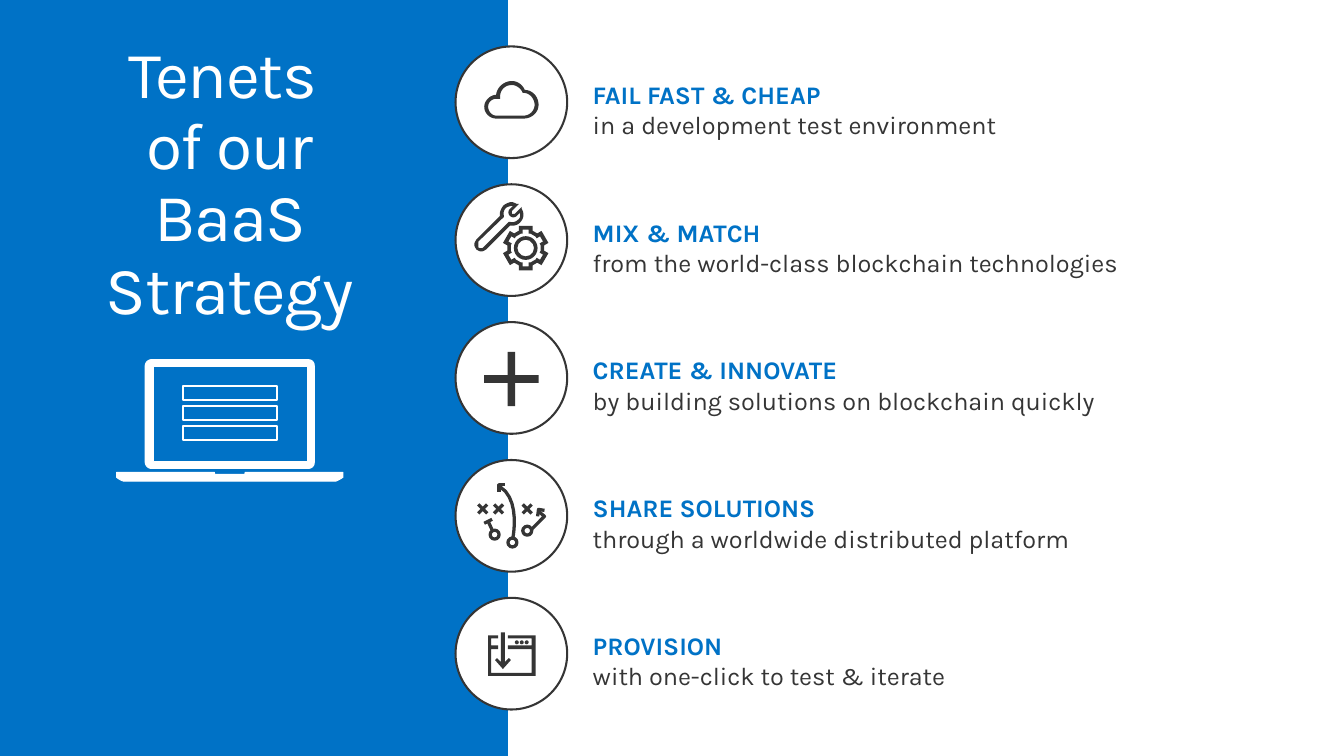
from math import cos, pi, sin

from lxml.etree import SubElement
from pptx import Presentation
from pptx.dml.color import RGBColor
from pptx.enum.shapes import MSO_CONNECTOR, MSO_SHAPE
from pptx.enum.text import MSO_ANCHOR, MSO_AUTO_SIZE, PP_ALIGN
from pptx.oxml.ns import qn
from pptx.util import Pt

FONT = "Karla"
BLUE, DARK, WHITE = "0072C6", "353535", "FFFFFF"
TITLE_LINES = [("Tenets ", 48), ("of our", 48), ("BaaS Strategy", 49)]
TENETS = [
    ("FAIL FAST & CHEAP", "in a development test environment"),
    ("MIX & MATCH", "from the world-class blockchain technologies"),
    ("CREATE & INNOVATE", "by building solutions on blockchain quickly"),
    ("SHARE SOLUTIONS", "through a worldwide distributed platform"),
    ("PROVISION", "with one-click to test & iterate"),
]

# Drawing coordinates are in units of 0.72 pt. In a contour, a pair is a
# corner and six numbers are a Bezier curve: two controls and the end.
UNIT = 0.72
BADGE_LEFT, BADGE_TOP, BADGE_SIZE, ROW_PITCH = 461, 47, 113, 139.5
STROKE = 2.38

CLOUD = [
    [(41, 73), (69, 73), (77, 73, 84, 67, 84, 59), (84, 51, 78, 44, 70, 44), (68, 39, 63, 35, 57, 35),
     (49, 35, 42, 41, 41, 49), (35, 49, 29, 55, 29, 61), (29, 68, 35, 73, 41, 73)],
    [(41, 53), (45, 53), (45, 51), (45, 44, 50, 39, 57, 39), (61, 39, 66, 42, 68, 47), (69, 47),
     (75, 47, 80, 53, 80, 59), (80, 65, 75, 70, 69, 70), (41, 70), (37, 70, 33, 66, 33, 61),
     (33, 56, 37, 53, 41, 53)],
]
WRENCH = [
    [(26, 68), (28, 68, 29, 67, 31, 66), (55, 42), (57, 42), (60, 42, 63, 41, 65, 39),
     (69, 35, 70, 30, 67, 25), (67, 23), (60, 30), (57, 30), (57, 27), (64, 20), (62, 20),
     (60, 19, 58, 18, 57, 18), (54, 18, 50, 20, 48, 22), (46, 25, 44, 29, 45, 32), (21, 56),
     (20, 58, 19, 59, 19, 61), (19, 63, 20, 64, 21, 66), (23, 67, 24, 68, 26, 68)],
    [(23, 58), (49, 33), (49, 32), (48, 29, 49, 26, 51, 24), (52, 23, 55, 22, 57, 22), (58, 22), (55, 25),
     (53, 27, 53, 30, 55, 32), (57, 34, 60, 34, 62, 32), (65, 29), (66, 32, 65, 35, 63, 36),
     (61, 38, 58, 39, 55, 38), (54, 38), (28, 64), (27, 65, 25, 65, 23, 64), (23, 61),
     (23, 60, 23, 59, 23, 58)],
]
GEAR_CENTER, GEAR_TEETH = (71, 64.5), 6
GEAR_EDGES = [[(-7, 17.5), (-7, 22.5), (7, 22.5), (7, 17.5)],
              [(-5, 14.5), (-3, 14.5), (-3, 18.5), (3, 18.5), (3, 14.5), (5, 14.5)]]
PLAY_CROSSES = [(23, 45), (39, 45), (68, 45)]
PLAY_RINGS = [(35, 71), (53, 79), (68, 67)]
PLAY_MARK = 9
PLAY_LINES = [((29, 64), (37, 60)), ((33, 62), (38, 73))]
PLAY_PATHS = [[(83, 57), (84, 50), (90, 51)], [(44, 32), (44, 25), (50, 25)],
              [(84, 52), (90, 57), (77, 70)], [(58, 79), (58, 79, 66, 40, 45, 27)]]
WINDOW = [[(81, 38), (53, 38), (53, 41), (77, 41), (77, 48), (53, 48), (53, 52), (77, 52), (77, 76), (36, 76),
           (36, 52), (43, 52), (43, 48), (36, 48), (36, 41), (43, 41), (43, 38), (33, 38), (33, 79), (81, 79)]]
WINDOW_DOTS = [60, 65, 70]
DOWN_ARROW = [[(46, 35), (46, 65), (42, 61), (40, 63), (48, 72), (56, 63), (54, 61), (50, 65), (50, 35)]]
LAPTOP = [
    [(312, 364), (153, 364), (150, 364, 147, 367, 147, 370), (147, 468), (147, 471, 150, 474, 153, 474),
     (312, 474), (316, 474, 318, 471, 318, 468), (318, 370), (318, 367, 316, 364, 312, 364)],
    [(311, 467), (155, 467), (155, 371), (311, 371)],
    [(248, 478), (248, 479), (248, 480, 247, 480, 246, 480), (219, 480), (218, 480, 217, 480, 217, 479),
     (217, 478), (118, 478), (118, 483), (118, 483, 123, 487, 126, 487), (339, 487),
     (341, 487, 347, 483, 347, 483), (347, 478)],
]
LAPTOP_FIELDS = [391, 411, 431]


def color(value):
    return RGBColor.from_string(value)


def style(shape, fill=None, line=None, weight=STROKE):
    shape.shadow.inherit = False
    for part, tint in ((shape.fill, fill), (shape.line.fill, line)):
        if tint:
            part.solid()
            part.fore_color.rgb = color(tint)
        else:
            part.background()
    if line:
        shape.line.width = Pt(weight)


def flatten(contour, steps=10):
    """Turn the curves of a contour into short straight segments."""
    points = [contour[0]]
    for part in contour[1:]:
        if len(part) == 2:
            points.append(part)
            continue
        controls = [points[-1], part[:2], part[2:4], part[4:]]
        for t in (step / steps for step in range(1, steps + 1)):
            weights = [(1 - t) ** 3, 3 * t * (1 - t) ** 2, 3 * t * t * (1 - t), t ** 3]
            points.append([sum(w * c[axis] for w, c in zip(weights, controls)) for axis in (0, 1)])
    return points


def turn(point, angle):
    """Rotate a point of a gear tooth about the gear's center."""
    x, y = point
    return (GEAR_CENTER[0] + x * cos(angle) - y * sin(angle),
            GEAR_CENTER[1] + x * sin(angle) + y * cos(angle))


class Drawing:
    """A group whose parts are placed in units from a given corner."""

    def __init__(self, slide, left=0, top=0):
        self.shapes = slide.shapes.add_group_shape().shapes
        self.left, self.top = left, top

    def place(self, x, y):
        return Pt((self.left + x) * UNIT), Pt((self.top + y) * UNIT)

    def preset(self, kind, x, y, width, height, **look):
        shape = self.shapes.add_shape(kind, *self.place(x, y), Pt(width * UNIT), Pt(height * UNIT))
        style(shape, **look)
        return shape

    def outline(self, contours, closed=True, **look):
        builder = self.shapes.build_freeform(*self.place(*contours[0][0]))
        for contour in contours:
            first, *rest = [self.place(*point) for point in flatten(contour)]
            if contour is not contours[0]:
                builder.move_to(*first)
            builder.add_line_segments(rest, close=closed)
        style(builder.convert_to_shape(), **look)

    def line(self, start, end):
        connector = self.shapes.add_connector(MSO_CONNECTOR.STRAIGHT, *self.place(*start), *self.place(*end))
        connector.line.color.rgb = color(DARK)
        connector.line.width = Pt(STROKE)
        SubElement(connector._element.spPr, qn("a:effectLst"))


def draw_cloud(icon):
    icon.outline(CLOUD, fill=DARK)


def draw_tools(icon):
    icon.outline(WRENCH, fill=DARK)
    angles = [-2 * pi * index / GEAR_TEETH for index in range(GEAR_TEETH)]
    icon.outline([[turn(point, angle) for angle in angles for point in edge] for edge in GEAR_EDGES], fill=DARK)
    icon.preset(MSO_SHAPE.DONUT, 59, 52.5, 24, 24, fill=DARK).adjustments[0] = 0.15


def draw_plus(icon):
    icon.preset(MSO_SHAPE.CROSS, 29, 30, 55, 55, fill=DARK).adjustments[0] = 0.43


def draw_play(icon):
    for x, y in PLAY_CROSSES:
        icon.line((x, y), (x + PLAY_MARK, y + PLAY_MARK))
        icon.line((x + PLAY_MARK, y), (x, y + PLAY_MARK))
    for x, y in PLAY_RINGS:
        icon.preset(MSO_SHAPE.OVAL, x, y, PLAY_MARK, PLAY_MARK, line=DARK)
    for start, end in PLAY_LINES:
        icon.line(start, end)
    for contour in PLAY_PATHS:
        icon.outline([contour], closed=False, line=DARK)


def draw_window(icon):
    icon.outline(WINDOW, fill=DARK)
    for x in WINDOW_DOTS:
        icon.preset(MSO_SHAPE.OVAL, x, 43, 4, 4, fill=DARK)
    icon.outline(DOWN_ARROW, fill=DARK)


def add_tenet(slide, row, heading, detail):
    frame = slide.shapes.add_textbox(Pt(424.8), Pt(54 + row * ROW_PITCH * UNIT), Pt(540), Pt(52.6)).text_frame
    frame.word_wrap = True
    for paragraph, text, tint in ((frame.paragraphs[0], heading, BLUE), (frame.add_paragraph(), detail, DARK)):
        paragraph.text = text
        font = paragraph.font
        font.name, font.size, font.bold = FONT, Pt(18.4), tint == BLUE
        font.color.rgb = color(tint)


def format_title(title):
    title.left, title.top, title.width, title.height = Pt(63.4), Pt(23), Pt(208), Pt(225)
    frame = title.text_frame
    frame.word_wrap, frame.auto_size, frame.vertical_anchor = True, MSO_AUTO_SIZE.NONE, MSO_ANCHOR.TOP
    frame.margin_left = frame.margin_right = Pt(11.5)
    frame.margin_top = frame.margin_bottom = Pt(7.2)
    paragraph = frame.paragraphs[0]
    paragraph.text = "\v".join(text for text, size in TITLE_LINES)
    paragraph.alignment, paragraph.line_spacing = PP_ALIGN.CENTER, 0.9
    paragraph.font.name = FONT
    paragraph.font.color.rgb = color(WHITE)
    for run, (text, size) in zip(paragraph.runs, TITLE_LINES):
        run.font.size = Pt(size)
        run._r.get_or_add_rPr().set("spc", "-100")


presentation = Presentation()
presentation.slide_width, presentation.slide_height = Pt(979.2), Pt(550.8)
slide = presentation.slides.add_slide(presentation.slide_layouts[5])
panel = slide.shapes.add_shape(MSO_SHAPE.RECTANGLE, 0, 0, Pt(370), Pt(550.8))
style(panel, fill=BLUE)
slide.shapes.title._element.addprevious(panel._element)
format_title(slide.shapes.title)
laptop = Drawing(slide)
for y in LAPTOP_FIELDS:
    laptop.preset(MSO_SHAPE.RECTANGLE, 185, y, 95, 14, line=WHITE, weight=1.25)
laptop.outline(LAPTOP, fill=WHITE, line=WHITE, weight=0.75)
for row, draw in enumerate([draw_cloud, draw_tools, draw_plus, draw_play, draw_window]):
    add_tenet(slide, row, *TENETS[row])
    icon = Drawing(slide, BADGE_LEFT, BADGE_TOP + row * ROW_PITCH)
    icon.preset(MSO_SHAPE.OVAL, 0, 0, BADGE_SIZE, BADGE_SIZE, fill=WHITE, line=DARK, weight=1.5)
    draw(icon)
presentation.save("out.pptx")
